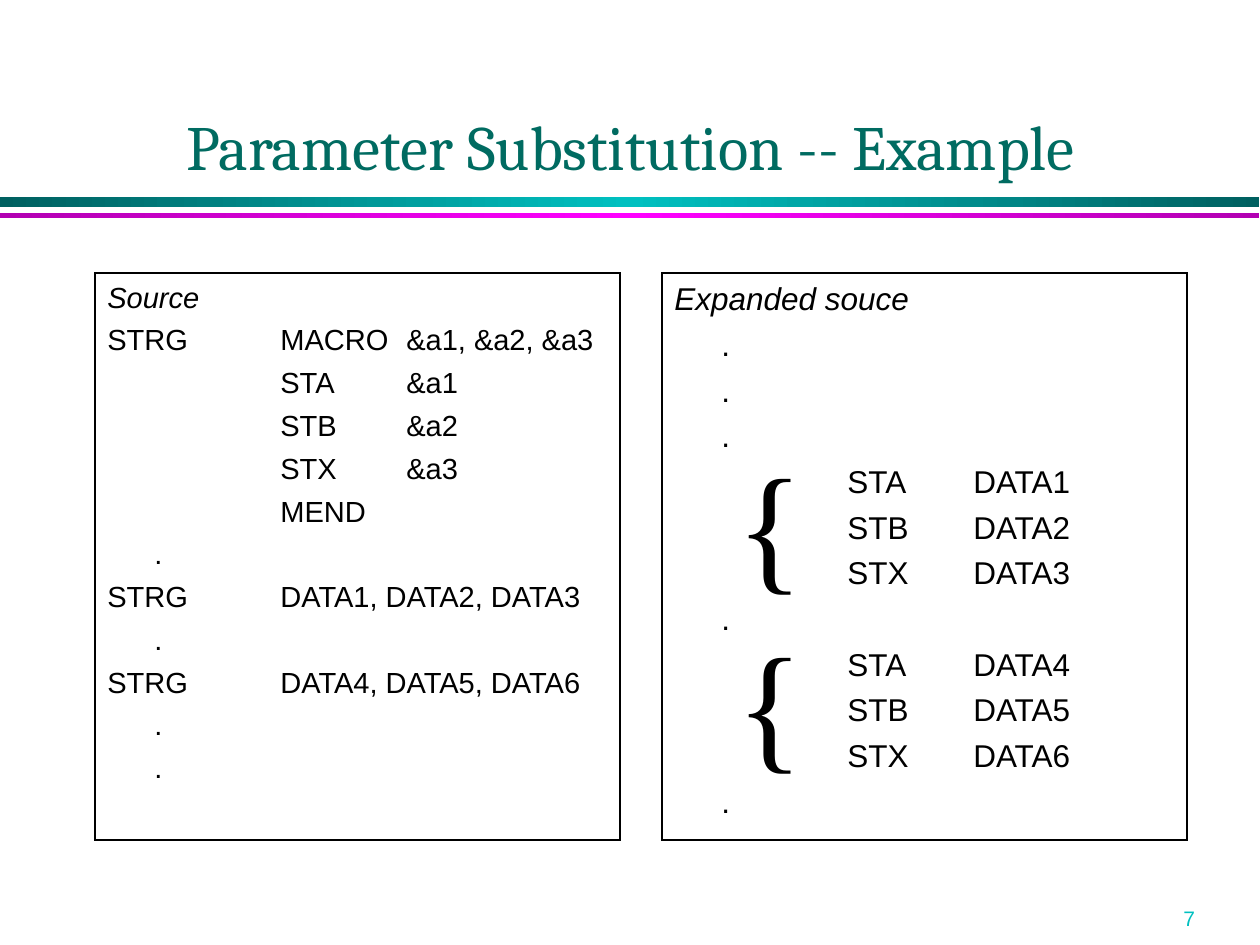
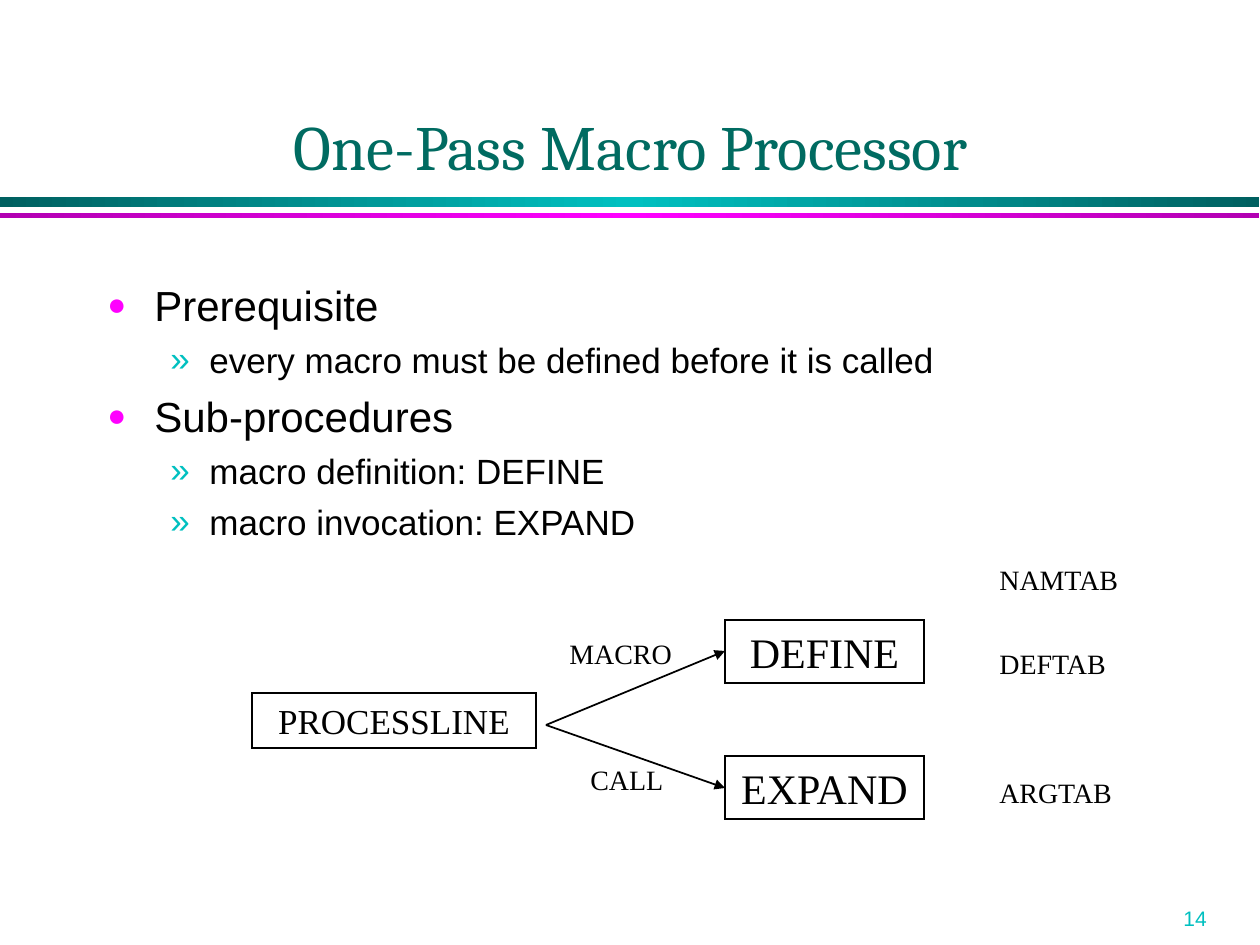
from lxml.etree import SubElement
from pptx import Presentation
from pptx.dml.color import RGBColor
from pptx.enum.shapes import MSO_CONNECTOR, MSO_SHAPE
from pptx.enum.text import MSO_ANCHOR, PP_ALIGN
from pptx.oxml.ns import qn
from pptx.util import Emu, Pt

PX = 914400 / 126
BLACK, TEAL, CYAN, MAGENTA = "000000", "006B61", "00C0C0", "FF00FF"
SANS, TITLE_FONT, SERIF = "Arial", "Cambria", "Times New Roman"

BANDS = [  # top, height, edge colour, middle colour
    (197, 10, "006060", CYAN),
    (213, 5, "B200B2", MAGENTA),
]
TITLE_BOX = (95, 31, 1071, 158)
NUMBER_BOX = (1171, 899, 89, 38)
BODY_BOX = (95, 273, 1071, 567)

LISTING_SPACE = 4.5
LISTING_INDENT = 47
TAB_GAP = 126
LISTINGS = [  # box, text size, heading, lines
    ((95, 273, 525, 567), 16.6, "Source", [
        "STRG\tMACRO\t&a1, &a2, &a3",
        "\t\tSTA\t&a1",
        "\t\tSTB\t&a2",
        "\t\tSTX\t&a3",
        "\t\tMEND",
        "\t.",
        "STRG\tDATA1, DATA2, DATA3",
        "\t.",
        "STRG\tDATA4, DATA5, DATA6",
        "\t.",
        "\t.",
    ]),
    ((662, 273, 525, 567), 18, "Expanded souce", [
        "\t.",
        "\t.",
        "\t.",
        "\t\tSTA\tDATA1",
        "\t\tSTB\tDATA2",
        "\t\tSTX\tDATA3",
        "\t.",
        "\t\tSTA\tDATA4",
        "\t\tSTB\tDATA5",
        "\t\tSTX\tDATA6",
        "\t.",
    ]),
]
BRACE_BOXES = [(724, 430, 77, 181), (724, 609, 77, 181)]

LEVELS = [
    {"size": 24, "space": 6, "left": 47, "hang": 47,
     "bullet": "●", "colour": MAGENTA, "percent": 75},
    {"size": 20, "space": 5, "left": 102, "hang": 39,
     "bullet": "»", "colour": CYAN, "percent": 100},
]
POINTS = [
    (0, "Prerequisite"),
    (1, "every macro must be defined before it is called"),
    (0, "Sub-procedures"),
    (1, "macro definition: DEFINE"),
    (1, "macro invocation: EXPAND"),
]
PROCEDURES = [  # name, size, box
    ("DEFINE", 24, (725, 620, 199, 63)),
    ("EXPAND", 24, (725, 756, 199, 63)),
    ("PROCESSLINE", 20, (252, 693, 284, 55)),
]
FORK = (546, 725)
ARROW_ENDS = [(725, 651), (725, 788)]
LABELS = [
    ("DEFTAB", (987, 640, 134, 47)),
    ("NAMTAB", (987, 556, 146, 47)),
    ("ARGTAB", (987, 769, 140, 47)),
    ("MACRO", (557, 630, 132, 47)),
    ("CALL", (578, 756, 100, 47)),
]


def px(*lengths):
    return [Emu(round(length * PX)) for length in lengths]


def rgb(colour):
    return RGBColor.from_string(colour)


def apply(target, values):
    for name, value in values.items():
        setattr(target, name, value)


def write(paragraph, text, size, font=SANS, colour=BLACK, italic=False):
    run = paragraph.add_run()
    run.text = text
    apply(run.font, {"name": font, "size": Pt(size), "italic": italic})
    run.font.color.rgb = rgb(colour)


def add_text(slide, box, text, size, font, colour=BLACK,
             align=PP_ALIGN.LEFT, anchor=MSO_ANCHOR.TOP):
    frame = slide.shapes.add_textbox(*px(*box)).text_frame
    apply(frame, {"word_wrap": True, "vertical_anchor": anchor})
    frame.paragraphs[0].alignment = align
    write(frame.paragraphs[0], text, size, font, colour)


def add_outlined_box(slide, box):
    """Add an unfilled rectangle and return its text frame."""
    shape = slide.shapes.add_shape(MSO_SHAPE.RECTANGLE, *px(*box))
    shape.shadow.inherit = False
    shape.fill.background()
    shape.line.color.rgb = rgb(BLACK)
    shape.line.width = Pt(1)
    SubElement(shape.line._get_or_add_ln(), qn("a:miter"), lim="800000")
    apply(shape.text_frame, {"word_wrap": True,
                             "vertical_anchor": MSO_ANCHOR.TOP})
    return shape.text_frame


def add_band(slide, top, height, edge, middle):
    band = slide.shapes.add_shape(MSO_SHAPE.RECTANGLE, *px(0, top, 1259, height))
    band.shadow.inherit = False
    band.line.fill.background()
    band.fill.gradient()
    band.fill.gradient_angle = 0
    stops = band._element.spPr.find(".//" + qn("a:gsLst"))
    for stop in list(stops):
        stops.remove(stop)
    for percent, colour in ((0, edge), (50, middle), (100, edge)):
        stop = SubElement(stops, qn("a:gs"), pos=str(percent * 1000))
        SubElement(stop, qn("a:srgbClr"), val=colour)


def add_base_slide(presentation, title, number):
    slide = presentation.slides.add_slide(presentation.slide_layouts[6])
    for band in BANDS:
        add_band(slide, *band)
    add_text(slide, NUMBER_BOX, str(number), 12, SANS, CYAN)
    add_text(slide, TITLE_BOX, title, 36, TITLE_FONT, TEAL,
             PP_ALIGN.CENTER, MSO_ANCHOR.BOTTOM)
    return slide


def set_indent(paragraph, left, hang):
    """Set a hanging indent and return the paragraph properties."""
    properties = paragraph._p.get_or_add_pPr()
    left, hang = px(left, hang)
    properties.set("marL", str(left))
    properties.set("indent", str(-hang))
    return properties


def add_paragraphs(frame, count):
    return [frame.paragraphs[0]] + [frame.add_paragraph() for _ in range(count - 1)]


def add_listing(slide, box, size, heading, lines):
    frame = add_outlined_box(slide, box)
    texts = [heading] + lines
    for index, paragraph in enumerate(add_paragraphs(frame, len(texts))):
        paragraph.alignment = PP_ALIGN.LEFT
        properties = set_indent(paragraph, LISTING_INDENT, LISTING_INDENT)
        properties.set("defTabSz", str(px(TAB_GAP)[0]))
        paragraph.space_before = Pt(LISTING_SPACE if index else 0)
        write(paragraph, texts[index], size, italic=index == 0)


def add_points(slide):
    frame = slide.shapes.add_textbox(*px(*BODY_BOX)).text_frame
    frame.word_wrap = True
    paragraphs = add_paragraphs(frame, len(POINTS))
    for index, (paragraph, (depth, text)) in enumerate(zip(paragraphs, POINTS)):
        level = LEVELS[depth]
        paragraph.level = depth
        properties = set_indent(paragraph, level["left"], level["hang"])
        colour = SubElement(properties, qn("a:buClr"))
        SubElement(colour, qn("a:srgbClr"), val=level["colour"])
        SubElement(properties, qn("a:buSzPct"), val=str(level["percent"] * 1000))
        SubElement(properties, qn("a:buFont"), typeface=SANS)
        SubElement(properties, qn("a:buChar"), char=level["bullet"])
        paragraph.space_before = Pt(level["space"] if index else 0)
        write(paragraph, text, level["size"])


def add_arrow(slide, start, end):
    arrow = slide.shapes.add_connector(MSO_CONNECTOR.STRAIGHT, *px(*start, *end))
    arrow.line.color.rgb = rgb(BLACK)
    arrow.line.width = Pt(1)
    SubElement(arrow.line._get_or_add_ln(), qn("a:tailEnd"), type="triangle")
    SubElement(arrow._element.spPr, qn("a:effectLst"))


def add_substitution_slide(presentation):
    slide = add_base_slide(presentation, "Parameter Substitution -- Example", 7)
    for listing in LISTINGS:
        add_listing(slide, *listing)
    for box in BRACE_BOXES:
        add_text(slide, box, "{", 80, SERIF)


def add_processor_slide(presentation):
    slide = add_base_slide(presentation, "One-Pass Macro Processor", 14)
    add_points(slide)
    for name, size, box in PROCEDURES:
        paragraph = add_outlined_box(slide, box).paragraphs[0]
        paragraph.alignment = PP_ALIGN.CENTER
        write(paragraph, name, size, SERIF)
    for end in ARROW_ENDS:
        add_arrow(slide, FORK, end)
    for text, box in LABELS:
        add_text(slide, box, text, 16, SERIF)


def main():
    presentation = Presentation()
    width, height = px(1260, 945)
    apply(presentation, {"slide_width": width, "slide_height": height})
    add_substitution_slide(presentation)
    add_processor_slide(presentation)
    presentation.save("out.pptx")


if __name__ == "__main__":
    main()
